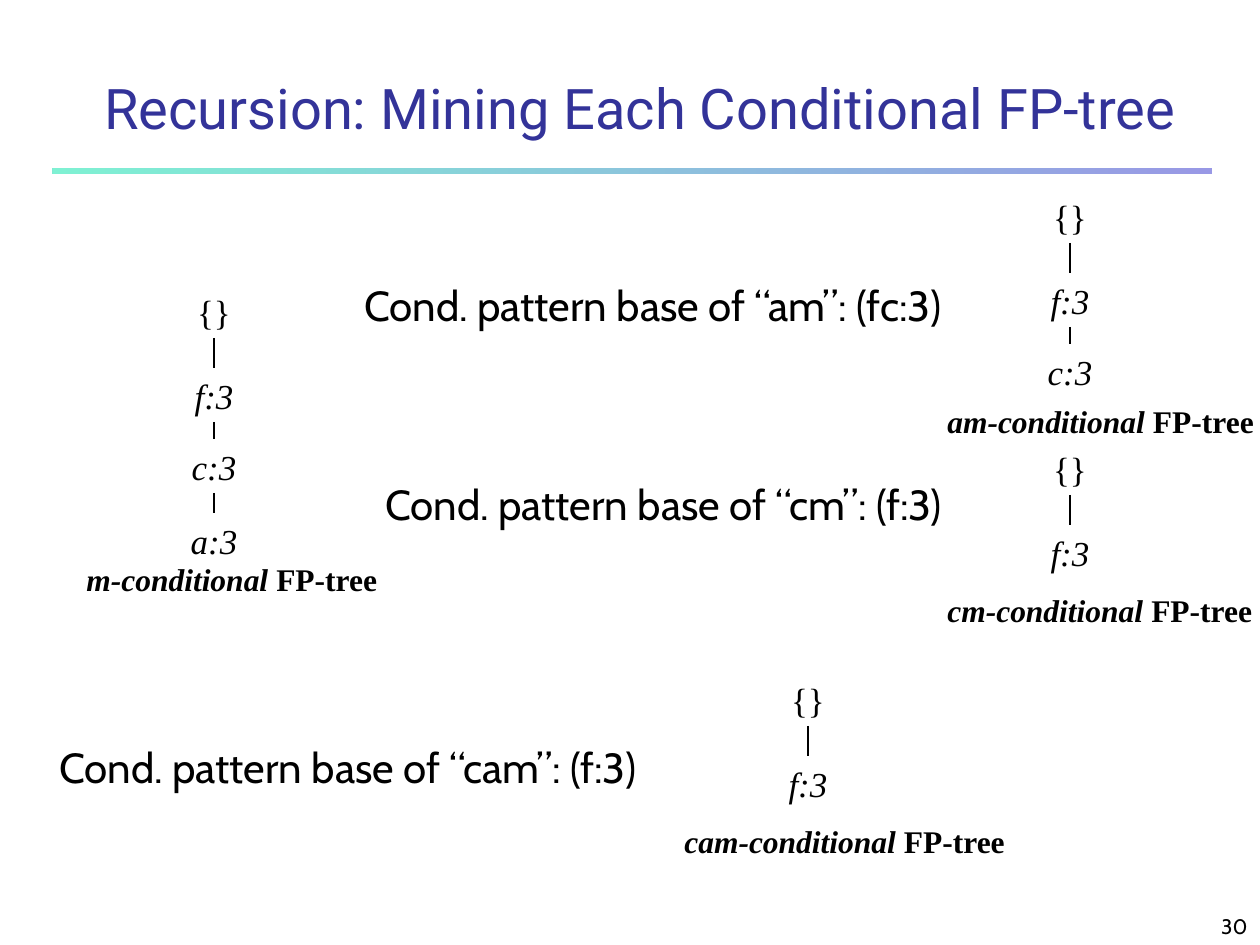
from dataclasses import dataclass

from lxml.etree import SubElement
from pptx import Presentation
from pptx.dml.color import RGBColor
from pptx.enum.shapes import MSO_CONNECTOR as Connector, MSO_SHAPE as Shape
from pptx.enum.text import MSO_ANCHOR as Anchor, MSO_AUTO_SIZE as AutoSize, PP_ALIGN as Align
from pptx.oxml.ns import qn
from pptx.util import Emu, Pt


@dataclass(frozen=True)
class Theme:
    black: RGBColor = RGBColor(0, 0, 0)
    title: RGBColor = RGBColor(0x33, 0x33, 0x99)
    bar_right: RGBColor = RGBColor(0x33, 0x33, 0xCC)
    bar_left: RGBColor = RGBColor(0x00, 0xE4, 0xA8)
    heading_font: str = "Roboto"
    body_font: str = "Cabin"
    tree_font: str = "Times New Roman"
    title_size: int = 32
    note_size: int = 24
    node_size: int = 20
    caption_size: int = 18
    number_size: int = 12


THEME = Theme()
PX_PER_INCH = 126
NODE_HEIGHT = 55
NODE_OFFSETS = (0, 84, 155, 229)
NODE_WIDTHS = {"{}": 62, "f:3": 68, "c:3": 74, "a:3": 76}

# Item set, nodes, centre x, top, caption box (left, top, width)
TREES = [
    ("m", ("{}", "f:3", "c:3", "a:3"), 214, 284, (74, 554, 320)),
    ("am", ("{}", "f:3", "c:3"), 1070, 189, (935, 396, 336)),
    ("cm", ("{}", "f:3"), 1070, 441, (935, 585, 334)),
    ("cam", ("{}", "f:3"), 808, 672, (672, 816, 351)),
]

# Item set, pattern base, left, top, width
PATTERN_BASES = [
    ("am", "fc:3", 352, 273, 674),
    ("cm", "f:3", 373, 472, 650),
    ("cam", "f:3", 47, 735, 674),
]


def px(*lengths):
    return [Emu(round(length * 914400 / PX_PER_INCH)) for length in lengths]


def font_format(name, size, **extra):
    return {"name": name, "size": Pt(size), **extra}


def add_text(shapes, place, spans, align=Align.LEFT, anchor=Anchor.TOP,
             wrap=False, color=THEME.black):
    """Add a text box; spans are (text, font format) pairs."""
    box = shapes.add_textbox(*px(*place))
    frame = box.text_frame
    frame_format = {
        "word_wrap": wrap,
        "auto_size": AutoSize.NONE if wrap else AutoSize.SHAPE_TO_FIT_TEXT,
        "vertical_anchor": anchor,
    }
    for key, value in frame_format.items():
        setattr(frame, key, value)
    para = frame.paragraphs[0]
    para.alignment = align
    for text, values in spans:
        span = para.add_run()
        span.text = text
        for key, value in values.items():
            setattr(span.font, key, value)
        span.font.color.rgb = color


def add_link(shapes, x, top, bottom):
    link = shapes.add_connector(Connector.STRAIGHT, *px(x, top, x, bottom))
    link.line.color.rgb = THEME.black
    link.line.width = Pt(1)
    SubElement(link._element.spPr, qn("a:effectLst"))


def add_tree(page, items, nodes, center, top, caption):
    shapes = page.shapes.add_group_shape().shapes
    tops = [top + offset for offset in NODE_OFFSETS[:len(nodes)]]
    for node, node_top in zip(nodes, tops):
        width = NODE_WIDTHS[node]
        values = font_format(THEME.tree_font, THEME.node_size, italic=node != "{}")
        add_text(shapes, (center - width // 2, node_top, width, NODE_HEIGHT),
                 [(node, values)], Align.CENTER)
    for upper, lower in zip(tops, tops[1:]):
        add_link(shapes, center, upper + NODE_HEIGHT - 1, lower)
    bold = font_format(THEME.tree_font, THEME.caption_size, bold=True)
    add_text(shapes, (*caption, 50),
             [(f"{items}-conditional ", {**bold, "italic": True}), ("FP-tree", bold)])


def add_title_bar(page):
    bar = page.shapes.add_shape(Shape.RECTANGLE, *px(53, 168, 1159, 6))
    bar.shadow.inherit = False
    bar.line.fill.background()
    bar.fill.gradient()
    bar.fill.gradient_angle = 180
    for stop, color in zip(bar.fill.gradient_stops, (THEME.bar_right, THEME.bar_left)):
        stop.color.rgb = color
    # Half-transparent stops
    for color in bar._element.spPr.iter(qn("a:srgbClr")):
        SubElement(color, qn("a:alpha"), val="50000")


def main():
    deck = Presentation()
    deck.slide_width, deck.slide_height = px(1260, 945)
    page = deck.slides.add_slide(deck.slide_layouts[6])

    # Title, bar and page number
    add_title_bar(page)
    add_text(page.shapes, (998, 892, 262, 53),
             [("30", font_format(THEME.body_font, THEME.number_size))],
             Align.RIGHT, Anchor.BOTTOM, wrap=True)
    add_text(page.shapes, (52, 52, 1177, 95),
             [("Recursion: Mining Each Conditional FP-tree",
               font_format(THEME.heading_font, THEME.title_size))],
             Align.CENTER, Anchor.BOTTOM, wrap=True, color=THEME.title)

    # Conditional trees
    for tree in TREES:
        add_tree(page, *tree)

    # Pattern bases
    for items, base, left, top, width in PATTERN_BASES:
        add_text(page.shapes, (left, top, width, 63),
                 [(f"Cond. pattern base of “{items}”: ({base})",
                   font_format(THEME.body_font, THEME.note_size))])

    deck.save("out.pptx")


if __name__ == "__main__":
    main()
